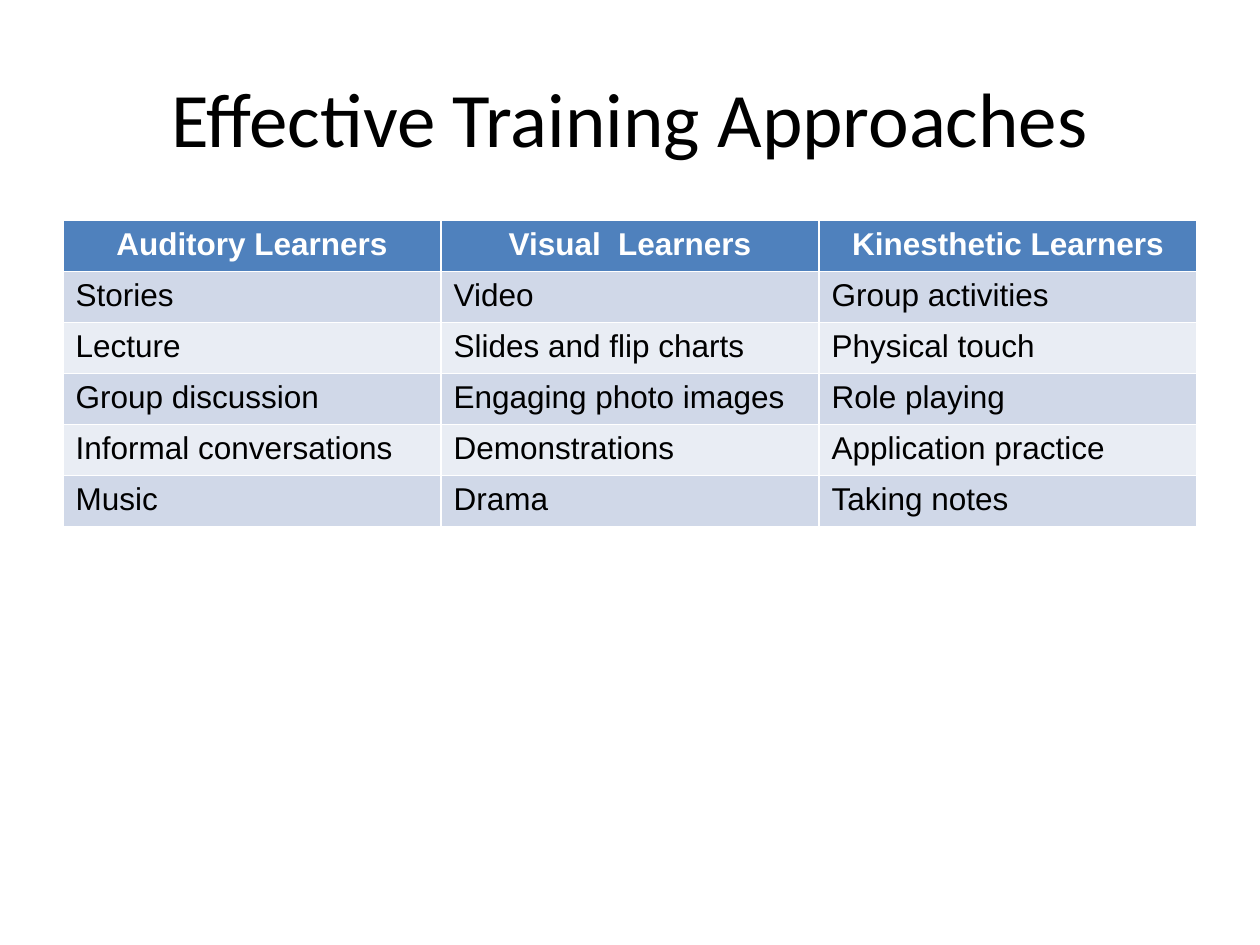
from dataclasses import dataclass

from pptx import Presentation
from pptx import util as u
from pptx.dml import color
from pptx.enum import text


@dataclass(frozen=True)
class Theme:
    ink: str = "000000"
    white: str = "FFFFFF"
    header: str = "4F81BD"
    bands: tuple = ("D0D8E8", "E9EDF4")
    title_font: str = "Calibri"
    table_font: str = "Arial"
    title_size: int = 44
    table_size: int = 18


theme = Theme()


def write(para, words, ink, **formats):
    span = para.add_run()
    span.text = words
    span.font.color.rgb = color.RGBColor.from_string(ink)
    for name, value in formats.items():
        setattr(span.font, name, value)


deck = Presentation()
deck.slide_width, deck.slide_height = u.Inches(10), u.Inches(7.5)
page = deck.slides.add_slide(deck.slide_layouts[6])

# Title
box = page.shapes.add_textbox(u.Inches(0.5), u.Inches(0.3), u.Inches(9), u.Inches(1.25))
frame_format = {"word_wrap": True, "vertical_anchor": text.MSO_ANCHOR.MIDDLE}
for name, value in frame_format.items():
    setattr(box.text_frame, name, value)
para = box.text_frame.paragraphs[0]
para.alignment = text.PP_ALIGN.CENTER
write(para, "Effective Training Approaches", theme.ink,
      name=theme.title_font, size=u.Pt(theme.title_size))

# Learner table: the default table style supplies the white rules
rows = [
    ("Auditory Learners", "Visual  Learners", "Kinesthetic Learners"),
    ("Stories", "Video", "Group activities"),
    ("Lecture", "Slides and flip charts", "Physical touch"),
    ("Group discussion", "Engaging photo images", "Role playing"),
    ("Informal conversations", "Demonstrations", "Application practice"),
    ("Music", "Drama", "Taking notes"),
]
table = page.shapes.add_table(len(rows), len(rows[0]), u.Inches(0.5), u.Inches(1.75),
                              u.Inches(9), u.Inches(2.43)).table

for row_index, row in enumerate(rows):
    is_header = row_index == 0
    fill = theme.header if is_header else theme.bands[(row_index - 1) % 2]
    for column_index, words in enumerate(row):
        cell = table.cell(row_index, column_index)
        cell.fill.solid()
        cell.fill.fore_color.rgb = color.RGBColor.from_string(fill)
        para = cell.text_frame.paragraphs[0]
        para.alignment = text.PP_ALIGN.CENTER if is_header else text.PP_ALIGN.LEFT
        write(para, words, theme.white if is_header else theme.ink,
              name=theme.table_font, size=u.Pt(theme.table_size), bold=is_header)

deck.save("out.pptx")
